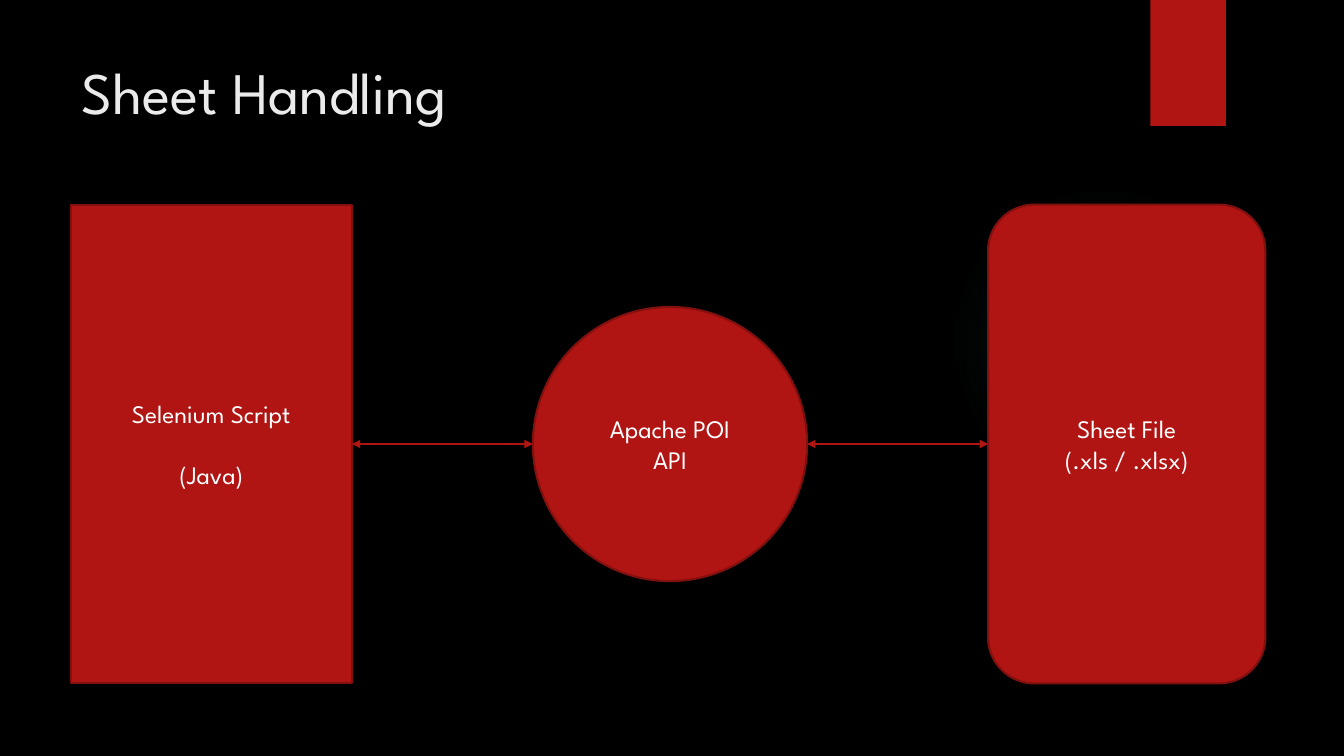
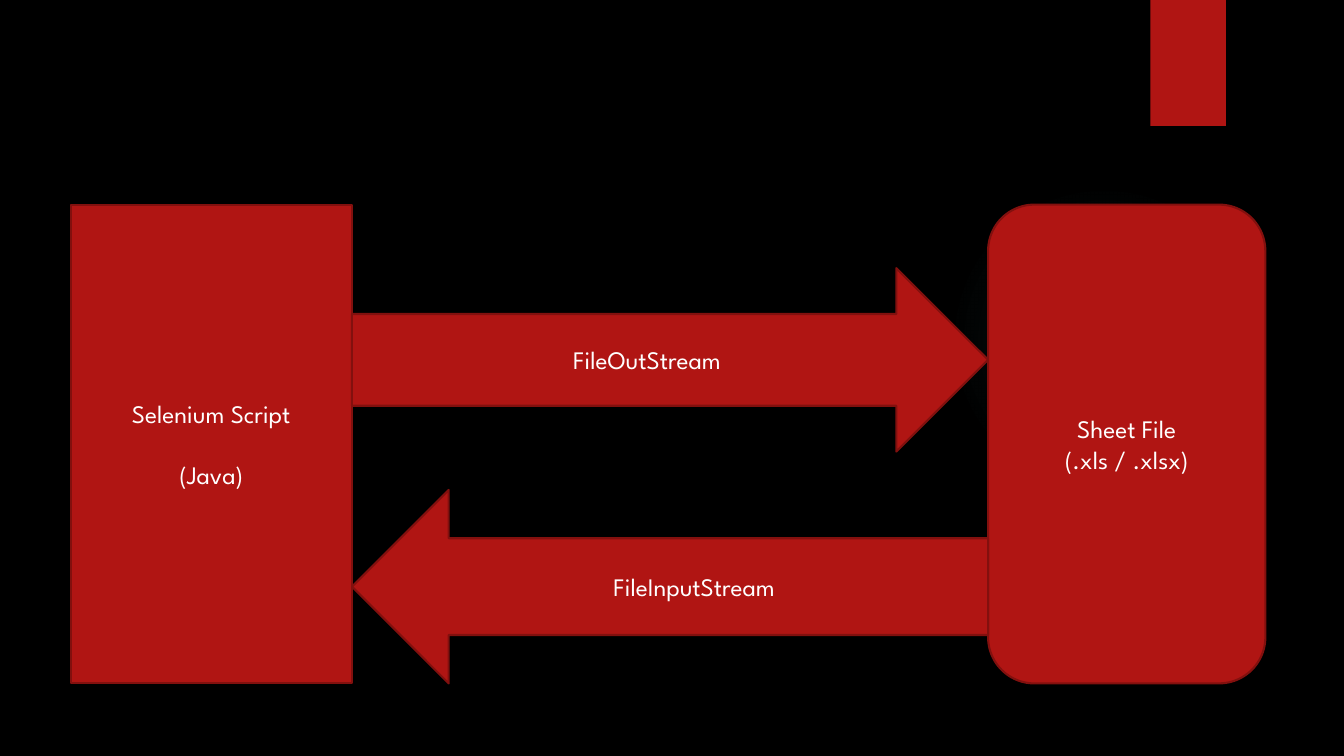
from pptx import Presentation
from pptx.dml.color import RGBColor
from pptx.enum.shapes import MSO_CONNECTOR as Connector, MSO_SHAPE as Preset
from pptx.enum.text import MSO_ANCHOR as Anchor, PP_ALIGN as Align
from pptx.oxml import parse_xml
from pptx.oxml.ns import nsdecls
from pptx.util import Inches, Pt

FONT = "League Spartan"
BLACK, WHITE, TITLE_GREY = "000000", "FFFFFF", "EBEBEB"
RED, DARK_RED, TEAL = "B01513", "82100E", "50B9C1"

# Boxes: left, top, width, height in inches
TITLE_BOX = (0.71, 0.5, 10.29, 1.53)
RIBBON_BOX = (11.41, 0, 0.75, 1.25)
GLOW_BOX = (9.41, 1.83, 3.08, 3.08)
DIAGRAM_BOX = (0.7, 2.03, 11.85, 4.75)
SCRIPT_WIDTH, FILE_WIDTH, API_SIZE = 2.79, 2.75, 2.72


def color(hex_string):
    return RGBColor.from_string(hex_string)


def inches(box):
    return [Inches(value) for value in box]


def format_text(text_frame, size, text_color, align):
    for paragraph in text_frame.paragraphs:
        paragraph.alignment = align
        for run in paragraph.runs:
            run.font.name = FONT
            run.font.size = Pt(size)
            run.font.color.rgb = color(text_color)


def add_plain_shape(slide, preset, box):
    shape = slide.shapes.add_shape(preset, *inches(box))
    shape.shadow.inherit = False
    shape.fill.solid()
    shape.fill.fore_color.rgb = color(RED)
    shape.line.fill.background()
    return shape


def add_node(slide, preset, box, text):
    """Outlined red shape with centred white text."""
    node = add_plain_shape(slide, preset, box)
    node.line.color.rgb = color(DARK_RED)
    node.line.width = Pt(1.5)
    node.text_frame.text = text
    node.text_frame.word_wrap = True
    node.text_frame.vertical_anchor = Anchor.MIDDLE
    format_text(node.text_frame, 18, WHITE, Align.CENTER)
    return node


def add_glow(slide, box):
    """Faint teal circle that fades out from its centre."""
    glow = add_plain_shape(slide, Preset.OVAL, box)
    glow.fill.background()
    stops = "".join(
        f'<a:gs pos="{position * 1000}"><a:srgbClr val="{TEAL}">'
        f'<a:alpha val="{alpha * 1000}"/></a:srgbClr></a:gs>'
        for position, alpha in ((0, 7), (36, 6), (69, 0)))
    gradient = parse_xml(
        f'<a:gradFill {nsdecls("a")}><a:gsLst>{stops}</a:gsLst>'
        '<a:path path="circle"><a:fillToRect l="50000" t="50000" '
        'r="50000" b="50000"/></a:path></a:gradFill>')
    properties = glow.element.spPr
    properties.replace(properties.find("{*}noFill"), gradient)


def add_base_slide(presentation, layout_name):
    """Slide with the shared glow and ribbon."""
    layout = presentation.slide_layouts.get_by_name(layout_name)
    slide = presentation.slides.add_slide(layout)
    add_glow(slide, GLOW_BOX)
    add_plain_shape(slide, Preset.RECTANGLE, RIBBON_BOX)
    return slide


def add_title(slide, text):
    title = slide.shapes.title
    title.left, title.top, title.width, title.height = inches(TITLE_BOX)
    title.text_frame.text = text
    title.text_frame.vertical_anchor = Anchor.TOP
    format_text(title.text_frame, 42, TITLE_GREY, Align.LEFT)


def add_end_nodes(slide, box):
    """Script on the left edge of the box, file on the right edge."""
    left, top, width, height = box
    script = add_node(slide, Preset.RECTANGLE, (left, top, SCRIPT_WIDTH, height),
                      "Selenium Script\n(Java)")
    script.text_frame.paragraphs[1].space_before = Pt(21.5)
    file = add_node(slide, Preset.ROUNDED_RECTANGLE,
                    (left + width - FILE_WIDTH, top, FILE_WIDTH, height),
                    "Sheet File\n(.xls / .xlsx)")
    return script, file


def add_double_arrow(slide, start_x, end_x, y):
    arrow = slide.shapes.add_connector(Connector.STRAIGHT, start_x, y, end_x, y)
    arrow.line.color.rgb = color(RED)
    arrow.line.width = Pt(0.75)
    for end in ("headEnd", "tailEnd"):
        arrow.line._get_or_add_ln().append(
            parse_xml(f'<a:{end} {nsdecls("a")} type="triangle"/>'))
    arrow.element.spPr.append(parse_xml(f'<a:effectLst {nsdecls("a")}/>'))
    return arrow


def add_api_diagram(slide, box):
    """Script and file joined through the API circle."""
    left, top, width, height = box
    script, file = add_end_nodes(slide, box)
    gap = (width - SCRIPT_WIDTH - FILE_WIDTH - API_SIZE) / 2
    api = add_node(slide, Preset.OVAL,
                   (left + SCRIPT_WIDTH + gap, top + (height - API_SIZE) / 2,
                    API_SIZE, API_SIZE),
                   "Apache POI\nAPI")
    middle = Inches(top + height / 2)
    to_script = add_double_arrow(slide, script.left + script.width, api.left, middle)
    to_script.begin_connect(script, 3)
    to_file = add_double_arrow(slide, api.left + api.width, file.left, middle)
    to_file.end_connect(file, 1)


def add_stream_diagram(slide, box):
    """Script and file joined by one block arrow in each direction."""
    left, top, width, height = box
    add_end_nodes(slide, box)
    arrow_left = left + SCRIPT_WIDTH
    arrow_width = width - SCRIPT_WIDTH - FILE_WIDTH
    for preset, offset, arrow_height, text in (
            (Preset.RIGHT_ARROW, 0.63, 1.82, "FileOutStream"),
            (Preset.LEFT_ARROW, 2.83, 1.92, "FileInputStream")):
        add_node(slide, preset,
                 (arrow_left, top + offset, arrow_width, arrow_height), text)


def main():
    presentation = Presentation()
    presentation.slide_width, presentation.slide_height = inches((13.33, 7.5))
    background = presentation.slide_master.background.fill
    background.solid()
    background.fore_color.rgb = color(BLACK)

    overview = add_base_slide(presentation, "Title Only")
    add_title(overview, "Sheet Handling")
    add_api_diagram(overview, DIAGRAM_BOX)

    streams = add_base_slide(presentation, "Blank")
    add_stream_diagram(streams, DIAGRAM_BOX)

    presentation.save("out.pptx")


if __name__ == "__main__":
    main()
